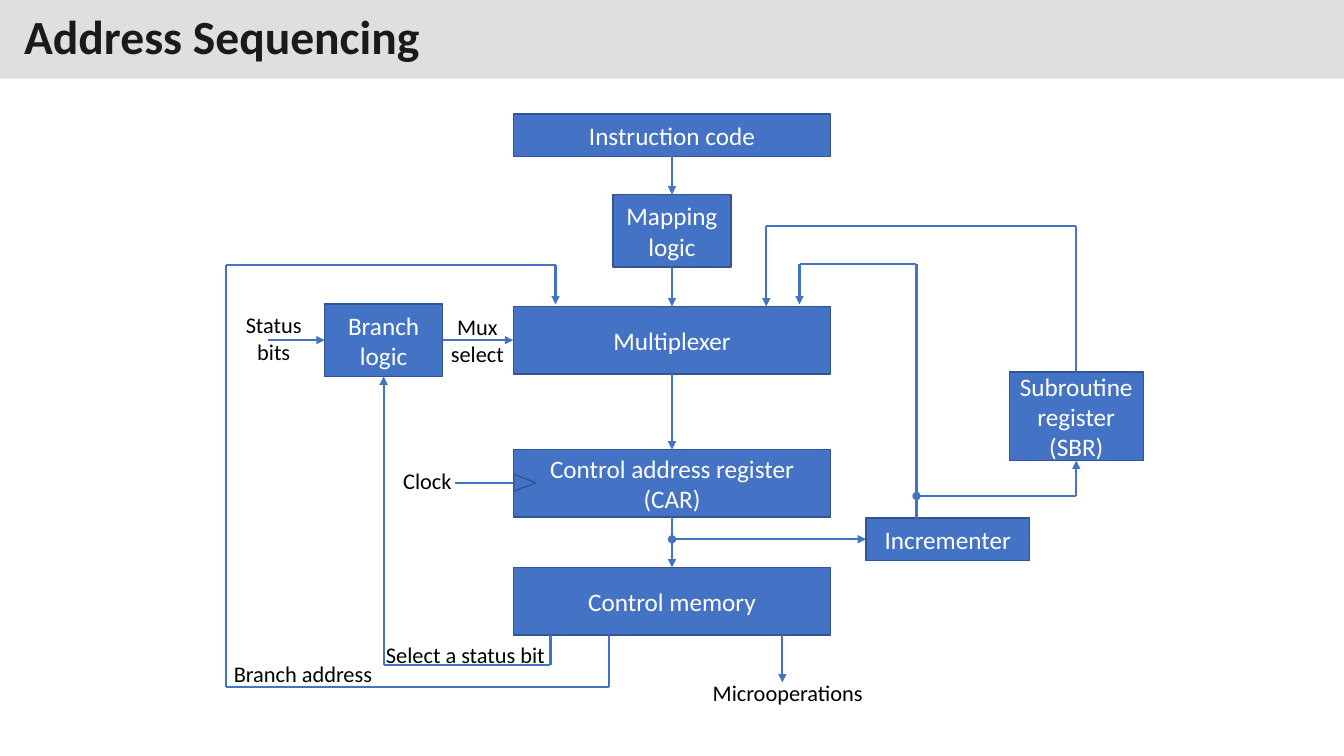
"""Draw the address sequencing block diagram on one slide."""
from dataclasses import dataclass
from itertools import pairwise
from typing import Any, NamedTuple

from lxml.etree import SubElement
from pptx import Presentation
from pptx.dml.color import RGBColor
from pptx.enum.shapes import MSO_CONNECTOR, MSO_SHAPE
from pptx.enum.text import MSO_ANCHOR, MSO_AUTO_SIZE, PP_ALIGN
from pptx.oxml.ns import qn
from pptx.util import Inches, Length, Pt

RECTANGLE = MSO_SHAPE.RECTANGLE
TRIANGLE = MSO_SHAPE.ISOSCELES_TRIANGLE
STRAIGHT = MSO_CONNECTOR.STRAIGHT
MIDDLE, TOP_ANCHOR = MSO_ANCHOR.MIDDLE, MSO_ANCHOR.TOP
LEFT_ALIGN, CENTER = PP_ALIGN.LEFT, PP_ALIGN.CENTER
GROW = MSO_AUTO_SIZE.SHAPE_TO_FIT_TEXT
TOP, LEFT, BOTTOM, RIGHT = range(4)

SLIDE_WIDTH, SLIDE_HEIGHT = Inches(13.33), Inches(7.5)
COLUMNS, ROWS = 133.3, 75


@dataclass(frozen=True)
class Theme:
    """Colours, type and line sizes of the slide."""
    font: str = "Calibri"
    title_size: int = 34
    box_size: int = 18
    label_size: int = 16
    title_ink: str = "1A1A1A"
    bar: str = "C0C0C0"
    bar_alpha: int = 50000
    box_fill: str = "4472C4"
    box_edge: str = "325491"
    box_ink: str = "FFFFFF"
    label_ink: str = "000000"
    edge_width: float = 1
    wire_width: float = 1.5


THEME = Theme()


class Area(NamedTuple):
    """A rectangle in grid columns and rows."""
    column: float
    row: float
    columns: float
    rows: float

    def lengths(self) -> tuple[Length, Length, Length, Length]:
        """Return left, top, width and height."""
        return across(self.column), down(self.row), across(self.columns), down(self.rows)


class Block(NamedTuple):
    """A filled box of the diagram."""
    name: str
    area: Area
    text: str


class Label(NamedTuple):
    """A plain caption beside a wire."""
    text: str
    area: Area
    align: Any = LEFT_ALIGN


class Port(NamedTuple):
    """The middle of one side of a block."""
    name: str
    side: int


class Spot(NamedTuple):
    """A point in grid columns and rows."""
    column: float
    row: float


class Wire(NamedTuple):
    """A run of straight connectors through its stops."""
    stops: tuple[Port | Spot, ...]
    head: str = ""
    tail: str = "triangle"


TITLE_AREA = Area(0, 0, COLUMNS, 7.8)
CLOCK_MARK = Area(51.2, 46.8, 1.7, 2.2)

BLOCKS = (
    Block("instruction", Area(50.9, 11.3, 31.5, 4.2), "Instruction code"),
    Block("mapping", Area(60.8, 19.3, 11.7, 7.2), "Mapping\nlogic"),
    Block("multiplexer", Area(50.9, 30.4, 31.5, 6.7), "Multiplexer"),
    Block("address", Area(50.9, 44.6, 31.5, 6.7), "Control address register\n(CAR)"),
    Block("memory", Area(50.9, 56.3, 31.5, 6.7), "Control memory"),
    Block("branch", Area(32.2, 30.15, 11.7, 7.2), "Branch\nlogic"),
    Block("subroutine", Area(100.1, 36.9, 13.3, 8.8), "Subroutine\nregister\n(SBR)"),
    Block("incrementer", Area(85.9, 51.4, 16.2, 4.2), "Incrementer"),
)
AREAS = {block.name: block.area for block in BLOCKS}

SPINE = ("instruction", "mapping", "multiplexer", "address", "memory")
WIRES = (
    *(Wire((Port(upper, BOTTOM), Port(lower, TOP))) for upper, lower in pairwise(SPINE)),
    Wire((Spot(77.6, 63), Spot(77.6, 67.7))),
    Wire((Spot(45.1, 47.95), Port("address", LEFT)), tail=""),
    Wire((Port("branch", RIGHT), Port("multiplexer", LEFT))),
    Wire((Spot(26.6, 33.75), Port("branch", LEFT))),
    Wire((Spot(66.65, 53.5), Port("incrementer", LEFT)), head="oval"),
    Wire((Spot(90.9, 51.4), Spot(90.9, 26.2), Spot(79.3, 26.2), Spot(79.3, 30.2))),
    Wire((Spot(90.9, 49.2), Spot(106.75, 49.2), Port("subroutine", BOTTOM)), head="oval"),
    Wire((Port("subroutine", TOP), Spot(106.75, 22.4), Spot(76, 22.4), Spot(76, 30.4))),
    Wire((Spot(54.6, 63), Spot(54.6, 66), Spot(38.05, 66), Port("branch", BOTTOM))),
    Wire((Spot(60.4, 63), Spot(60.4, 68.2), Spot(22.4, 68.2), Spot(22.4, 26.3),
          Spot(55.1, 26.3), Spot(55.1, 30.2))),
)

LABELS = (
    Label("Mux\nselect", Area(43.3, 30.6, 8.1, 6.4), CENTER),
    Label("Status\nbits", Area(23.1, 30.4, 8.1, 6.4), CENTER),
    Label("Clock", Area(39, 45.9, 6.9, 3.7)),
    Label("Select a status bit", Area(37.3, 63.1, 18.2, 3.7)),
    Label("Branch address", Area(22.2, 65, 18.2, 3.7)),
    Label("Microoperations", Area(69.7, 66.9, 18.2, 3.7)),
)


def across(columns: float) -> Length:
    """Turn grid columns into a length."""
    return Length(round(SLIDE_WIDTH * columns / COLUMNS))


def down(rows: float) -> Length:
    """Turn grid rows into a length."""
    return Length(round(SLIDE_HEIGHT * rows / ROWS))


def apply(target: Any, values: dict[str, Any]) -> None:
    """Set every named format value on the target."""
    for name, value in values.items():
        setattr(target, name, value)


def write(box: Any, text: str, size: int, ink: str, frame: dict[str, Any],
          layout: dict[str, Any], bold: bool = False) -> None:
    """Fill a box with one paragraph per line of text."""
    apply(box.text_frame, {"word_wrap": True, **frame})
    box.text_frame.text = text
    for para in box.text_frame.paragraphs:
        apply(para, layout)
        for span in para.runs:
            apply(span.font, {"name": THEME.font, "size": Pt(size), "bold": bold})
            span.font.color.rgb = RGBColor.from_string(ink)


def add_figure(page: Any, preset: Any, area: Area, fill: str, edge: str = "") -> Any:
    """Add a filled preset shape, outlined when an edge colour is given."""
    figure = page.shapes.add_shape(preset, *area.lengths())
    figure.shadow.inherit = False
    figure.fill.solid()
    figure.fill.fore_color.rgb = RGBColor.from_string(fill)
    if edge:
        figure.line.color.rgb = RGBColor.from_string(edge)
        figure.line.width = Pt(THEME.edge_width)
    else:
        figure.line.fill.background()
    return figure


def locate(stop: Port | Spot) -> tuple[Length, Length]:
    """Find where a stop lies on the slide."""
    if isinstance(stop, Spot):
        return across(stop.column), down(stop.row)
    area = AREAS[stop.name]
    share_x, share_y = ((0.5, 0), (0, 0.5), (0.5, 1), (1, 0.5))[stop.side]
    return across(area.column + area.columns * share_x), down(area.row + area.rows * share_y)


def add_wire(page: Any, wire: Wire, boxes: dict[str, Any]) -> None:
    """Draw a wire, with its end marks on the first and last segments."""
    last = len(wire.stops) - 2
    for index, (start, end) in enumerate(pairwise(wire.stops)):
        segment = page.shapes.add_connector(STRAIGHT, *locate(start), *locate(end))
        for stop, join in ((start, segment.begin_connect), (end, segment.end_connect)):
            if isinstance(stop, Port):
                join(boxes[stop.name], stop.side)
        segment.line.color.rgb = RGBColor.from_string(THEME.box_fill)
        segment.line.width = Pt(THEME.wire_width)
        properties = segment.element.spPr
        outline = properties.find(qn("a:ln"))
        for tag, mark, shown in (("a:headEnd", wire.head, index == 0),
                                 ("a:tailEnd", wire.tail, index == last)):
            if mark and shown:
                SubElement(outline, qn(tag), type=mark)
        SubElement(properties, qn("a:effectLst"))


def main() -> None:
    """Build and save the slide."""
    deck = Presentation()
    apply(deck, {"slide_width": SLIDE_WIDTH, "slide_height": SLIDE_HEIGHT})
    page = deck.slides.add_slide(deck.slide_layouts[6])

    bar = add_figure(page, RECTANGLE, TITLE_AREA, THEME.bar)
    SubElement(bar.element.spPr.find(f".//{qn('a:srgbClr')}"), qn("a:alpha"),
               val=str(THEME.bar_alpha))
    side, edge = Inches(0.24), Inches(0.12)
    write(bar, "Address Sequencing", THEME.title_size, THEME.title_ink,
          {"vertical_anchor": MIDDLE, "margin_left": side, "margin_right": side,
           "margin_top": edge, "margin_bottom": edge},
          {"alignment": LEFT_ALIGN, "line_spacing": 0.9}, bold=True)

    boxes = {}
    for block in BLOCKS:
        box = add_figure(page, RECTANGLE, block.area, THEME.box_fill, THEME.box_edge)
        write(box, block.text, THEME.box_size, THEME.box_ink,
              {"vertical_anchor": MIDDLE}, {"alignment": CENTER})
        boxes[block.name] = box
    add_figure(page, TRIANGLE, CLOCK_MARK, THEME.box_fill, THEME.box_edge).rotation = 90
    for wire in WIRES:
        add_wire(page, wire, boxes)
    for label in LABELS:
        write(page.shapes.add_textbox(*label.area.lengths()), label.text, THEME.label_size,
              THEME.label_ink, {"vertical_anchor": TOP_ANCHOR, "auto_size": GROW},
              {"alignment": label.align})
    deck.save("out.pptx")


if __name__ == "__main__":
    main()
